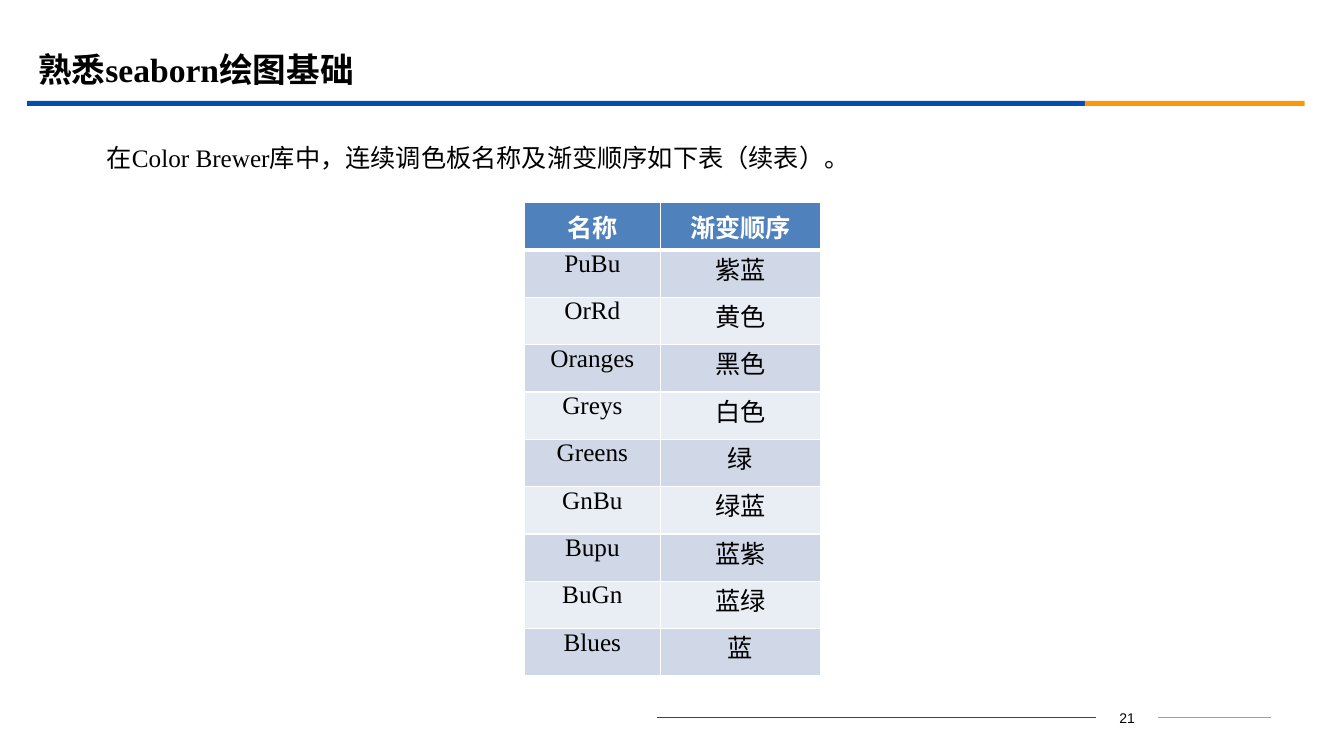
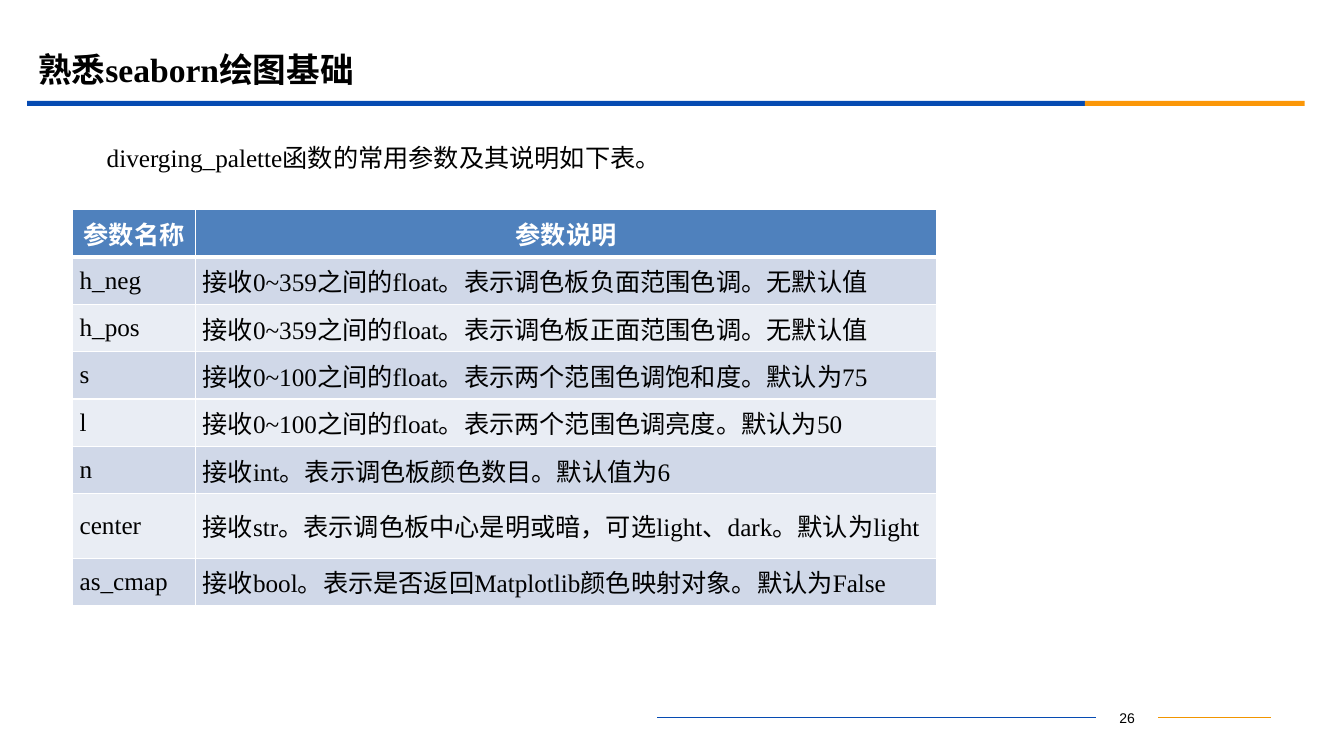
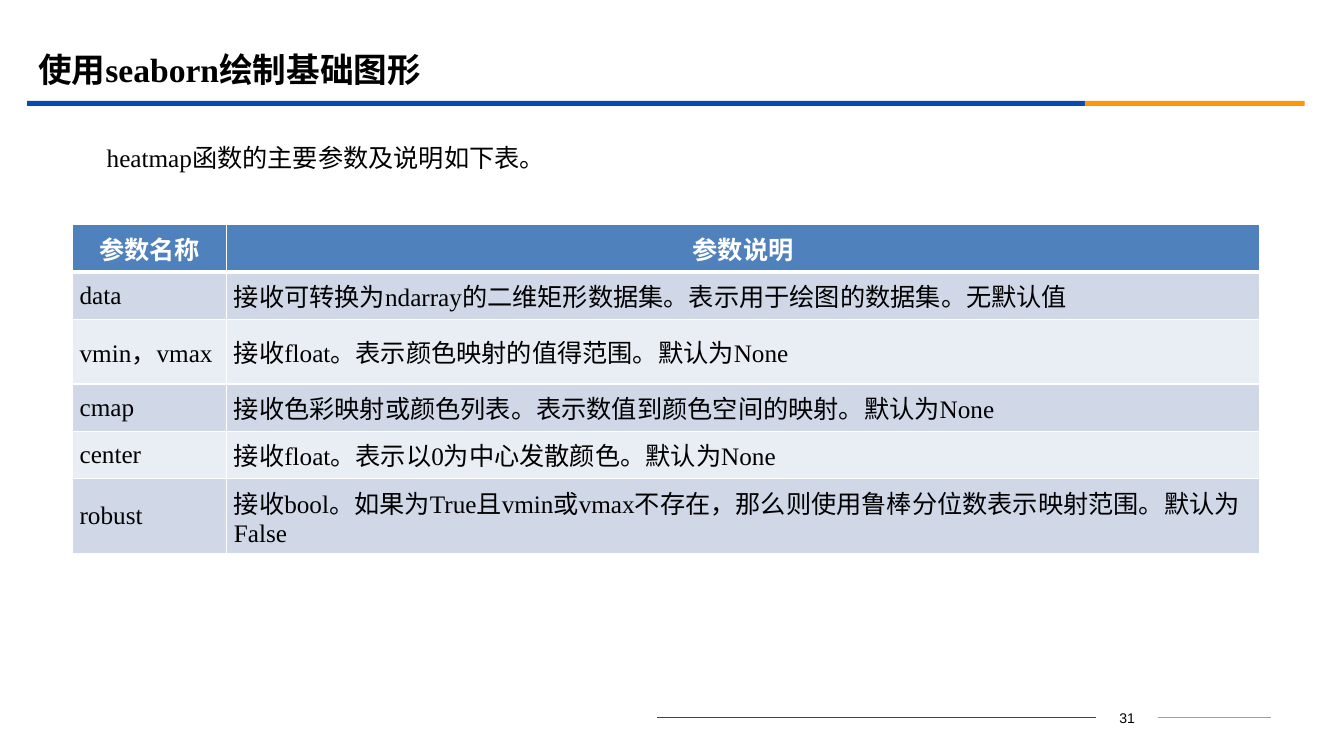
from dataclasses import dataclass, field

from lxml import etree
from pptx import Presentation
from pptx.dml.color import RGBColor
from pptx.enum.lang import MSO_LANGUAGE_ID
from pptx.enum.shapes import MSO_CONNECTOR, MSO_SHAPE
from pptx.enum.text import MSO_ANCHOR, PP_ALIGN
from pptx.oxml.ns import qn
from pptx.util import Inches, Pt

RECT = MSO_SHAPE.RECTANGLE
LINE = MSO_CONNECTOR.STRAIGHT
MID, TOP = MSO_ANCHOR.MIDDLE, MSO_ANCHOR.TOP
LEFT, MIDDLE = PP_ALIGN.LEFT, PP_ALIGN.CENTER
CHINESE = MSO_LANGUAGE_ID.SIMPLIFIED_CHINESE


@dataclass(frozen=True)
class Theme:
    blue: str = "064BB2"
    gold: str = "FB9708"
    amber: str = "F19500"
    head: str = "4F81BD"
    bands: tuple[str, str] = ("D0D8E8", "E9EDF4")
    black: str = "000000"
    white: str = "FFFFFF"
    serif: str = "Times New Roman"
    sans: str = "Arial"
    title: int = 24
    body: int = 18
    page: int = 10
    rule: float = 0.75
    thin: int = 1
    thick: int = 3


THEME = Theme()


@dataclass(frozen=True)
class Grid:
    left: float
    top: float
    cols: tuple[float, float]
    rows: list[tuple[str, str]]
    align: PP_ALIGN = LEFT
    anchor: MSO_ANCHOR = MID
    row: float = 0.47
    # Heights of the rows whose text wraps, by row number
    tall: dict[int, float] = field(default_factory=dict)

    def heights(self) -> list[float]:
        return [self.tall.get(r, self.row) for r in range(len(self.rows))]


@dataclass(frozen=True)
class Page:
    number: int
    title: str
    lead: str
    grid: Grid


PAGES = [
    Page(21, "熟悉seaborn绘图基础",
         "在Color Brewer库中，连续调色板名称及渐变顺序如下表（续表）。",
         Grid(5.2, 2.01, (1.35, 1.59), [
             ("名称", "渐变顺序"),
             ("PuBu", "紫蓝"),
             ("OrRd", "黄色"),
             ("Oranges", "黑色"),
             ("Greys", "白色"),
             ("Greens", "绿"),
             ("GnBu", "绿蓝"),
             ("Bupu", "蓝紫"),
             ("BuGn", "蓝绿"),
             ("Blues", "蓝"),
         ], MIDDLE, TOP)),
    Page(26, "熟悉seaborn绘图基础",
         "diverging_palette函数的常用参数及其说明如下表。",
         Grid(0.72, 2.08, (1.22, 7.35), [
             ("参数名称", "参数说明"),
             ("h_neg", "接收0~359之间的float。表示调色板负面范围色调。无默认值"),
             ("h_pos", "接收0~359之间的float。表示调色板正面范围色调。无默认值"),
             ("s", "接收0~100之间的float。表示两个范围色调饱和度。默认为75"),
             ("l", "接收0~100之间的float。表示两个范围色调亮度。默认为50"),
             ("n", "接收int。表示调色板颜色数目。默认值为6"),
             ("center", "接收str。表示调色板中心是明或暗，可选light、dark。默认为light"),
             ("as_cmap", "接收bool。表示是否返回Matplotlib颜色映射对象。默认为False"),
         ], tall={6: 0.64})),
    Page(31, "使用seaborn绘制基础图形",
         "heatmap函数的主要参数及说明如下表。",
         Grid(0.72, 2.23, (1.53, 10.24), [
             ("参数名称", "参数说明"),
             ("data", "接收可转换为ndarray的二维矩形数据集。表示用于绘图的数据集。无默认值"),
             ("vmin，vmax", "接收float。表示颜色映射的值得范围。默认为None"),
             ("cmap", "接收色彩映射或颜色列表。表示数值到颜色空间的映射。默认为None"),
             ("center", "接收float。表示以0为中心发散颜色。默认为None"),
             ("robust", "接收bool。如果为True且vmin或vmax不存在，"
                        "那么则使用鲁棒分位数表示映射范围。默认为False"),
         ], tall={2: 0.64, 5: 0.74})),
]


def style(para, size: int, color: str = THEME.black, bold: bool = False,
          face: str = THEME.serif) -> None:
    for run in para.runs:
        font = run.font
        font.name, font.size, font.bold = face, Pt(size), bold
        font.color.rgb = RGBColor.from_string(color)
        font.language_id = CHINESE


def add_text(slide, text: str, left: float, top: float, width: float,
             height: float, anchor: MSO_ANCHOR = TOP):
    box = slide.shapes.add_textbox(Inches(left), Inches(top),
                                   Inches(width), Inches(height))
    frame = box.text_frame
    frame.word_wrap = True
    frame.vertical_anchor = anchor
    frame.text = text
    return box, frame.paragraphs[0]


def add_bar(slide, left: float, width: float, color: str) -> None:
    bar = slide.shapes.add_shape(RECT, Inches(left), Inches(1),
                                 Inches(width), Inches(0.05))
    bar.shadow.inherit = False
    bar.fill.solid()
    bar.fill.fore_color.rgb = RGBColor.from_string(color)
    bar.line.fill.background()


def add_rule(slide, box, side: int, end: float, color: str) -> None:
    """Run a line from one side of the page number to the given x."""
    y = Inches(7.12)
    rule = slide.shapes.add_connector(LINE, box.left, y, Inches(end), y)
    rule.begin_connect(box, side)
    rule.end_y = rule.begin_y
    rule.line.color.rgb = RGBColor.from_string(color)
    rule.line.width = Pt(THEME.rule)
    etree.SubElement(rule._element.spPr, qn("a:effectLst"))


def add_frame(slide, number: int) -> None:
    # Band under the title
    add_bar(slide, 0.27, 10.49, THEME.blue)
    add_bar(slide, 10.76, 2.18, THEME.gold)
    # Page number between two rules
    box, para = add_text(slide, str(number), 10.87, 6.99, 0.62, 0.25)
    para.alignment = MIDDLE
    style(para, THEME.page, face=THEME.sans)
    add_rule(slide, box, 3, 12.61, THEME.amber)
    add_rule(slide, box, 1, 6.52, THEME.blue)


def set_edge(cell, side: str, width: int) -> None:
    edge = etree.SubElement(cell._tc.get_or_add_tcPr(), qn(f"a:ln{side}"),
                            w=str(Pt(width)))
    fill = etree.SubElement(edge, qn("a:solidFill"))
    etree.SubElement(fill, qn("a:srgbClr"), val=THEME.white)


def add_cell(cell, text: str, row: int, grid: Grid) -> None:
    head = row == 0
    cell.margin_left = cell.margin_right = Inches(0.07)
    cell.margin_top = cell.margin_bottom = 0
    cell.vertical_anchor = MID if head else grid.anchor
    # Edges come before the fill
    thick = {(0, "B"), (1, "T")}
    for side in "LRTB":
        set_edge(cell, side, THEME.thick if (row, side) in thick else THEME.thin)
    cell.fill.solid()
    color = THEME.head if head else THEME.bands[(row - 1) % 2]
    cell.fill.fore_color.rgb = RGBColor.from_string(color)
    cell.text_frame.text = text
    para = cell.text_frame.paragraphs[0]
    para.alignment = MIDDLE if head else grid.align
    style(para, THEME.body, THEME.white if head else THEME.black, head)


def add_grid(slide, grid: Grid) -> None:
    sizes = grid.heights()
    table = slide.shapes.add_table(
        len(sizes), len(grid.cols), Inches(grid.left), Inches(grid.top),
        Inches(sum(grid.cols)), Inches(sum(sizes))).table
    for col, width in zip(table.columns, grid.cols):
        col.width = Inches(width)
    for r, (texts, size) in enumerate(zip(grid.rows, sizes)):
        table.rows[r].height = Inches(size)
        for c, text in enumerate(texts):
            add_cell(table.cell(r, c), text, r, grid)


def add_page(deck, page: Page) -> None:
    slide = deck.slides.add_slide(deck.slide_layouts[6])
    add_frame(slide, page.number)
    # Lead sentence with first-line indent
    _, lead = add_text(slide, page.lead, 0.46, 1.21, 12.15, 5.53)
    lead.line_spacing = 1.5
    lead._p.get_or_add_pPr().set("indent", str(Inches(0.5)))
    style(lead, THEME.body)
    # Title
    _, title = add_text(slide, page.title, 0.28, 0.39, 12, 0.58, MID)
    style(title, THEME.title, bold=True)
    add_grid(slide, page.grid)


def main() -> None:
    deck = Presentation()
    deck.slide_width, deck.slide_height = Inches(13.33), Inches(7.5)
    for page in PAGES:
        add_page(deck, page)
    deck.save("out.pptx")


if __name__ == "__main__":
    main()
